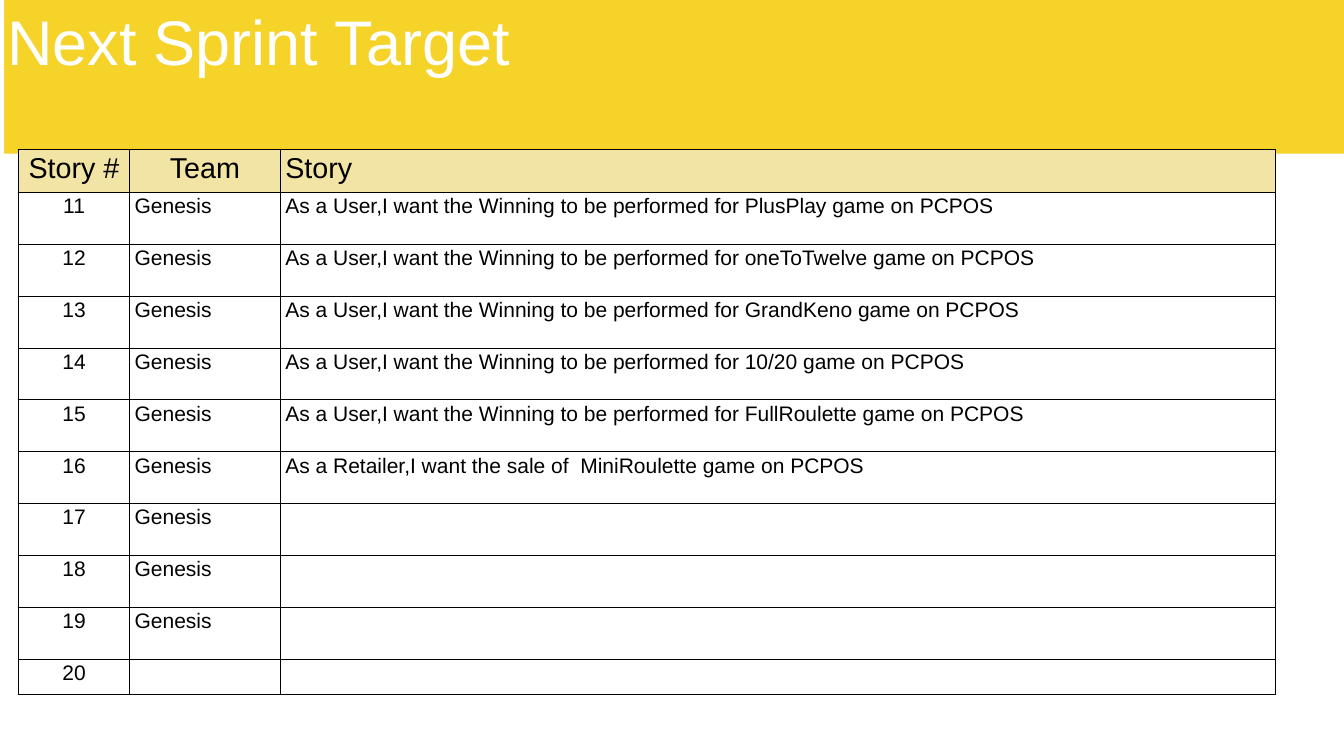
import pptx
import pptx.util
import pptx.dml.color
import pptx.enum.shapes
import pptx.enum.text
import pptx.oxml
import pptx.oxml.ns
from dataclasses import dataclass

PX = 9144  # EMU per px, at 100 px to the inch
ALIGN = pptx.enum.text.PP_ALIGN


@dataclass(frozen=True)
class Theme:
    font: str = "Arial"
    band: str = "F5D328"
    head: str = "F1E4A5"
    ink: str = "000000"
    white: str = "FFFFFF"
    title: int = 90
    label: int = 41
    body: int = 30
    rule: float = 0.75


THEME = Theme()
WIN = "As a User,I want the Winning to be performed for {} game on PCPOS"
GAMES = ["PlusPlay", "oneToTwelve", "GrandKeno", "10/20", "FullRoulette"]
STORIES = [WIN.format(game) for game in GAMES]
STORIES.append("As a Retailer,I want the sale of  MiniRoulette game on PCPOS")
FIRST, LAST = 11, 20


def rgb(code):
    return pptx.dml.color.RGBColor.from_string(code)


def write(frame, text, size, color, align=ALIGN.LEFT):
    frame.text = text
    para = frame.paragraphs[0]
    para.alignment = align
    for run in para.runs:
        run.font.name = THEME.font
        run.font.size = pptx.util.Pt(size)
        run.font.color.rgb = rgb(color)


def border(cell):
    """Draw a thin line on all four sides of a cell."""
    props = cell._tc.get_or_add_tcPr()
    width = int(pptx.util.Pt(THEME.rule))
    for spot, side in enumerate("LRTB"):
        line = pptx.oxml.parse_xml(
            f'<a:ln{side} {pptx.oxml.ns.nsdecls("a")} w="{width}">'
            f'<a:solidFill><a:srgbClr val="{THEME.ink}"/></a:solidFill>'
            f'</a:ln{side}>')
        props.insert(spot, line)


def banner(slide, left, top, width, height):
    # Coloured band
    box = [n * PX for n in (left, top, width, height)]
    band = slide.shapes.add_shape(
        pptx.enum.shapes.MSO_SHAPE.RECTANGLE, *box)
    band.shadow.inherit = False
    band.fill.solid()
    band.fill.fore_color.rgb = rgb(THEME.band)
    band.line.fill.background()

    # Title in the upper left of the band
    area = slide.shapes.add_textbox(
        left * PX, top * PX, 1234 * PX, 161 * PX)
    frame = area.text_frame
    frame.word_wrap = True
    frame.vertical_anchor = pptx.enum.text.MSO_ANCHOR.MIDDLE
    frame.margin_left = frame.margin_right = 6 * PX
    frame.margin_top = frame.margin_bottom = 6 * PX
    write(frame, "Next Sprint Target", THEME.title, THEME.white)


def backlog(slide, left, top, width, height):
    # Row contents: the last story has no team yet
    rows = [("Story #", "Team", "Story")]
    for spot, number in enumerate(range(FIRST, LAST + 1)):
        team = "Genesis" if number < LAST else ""
        story = STORIES[spot] if spot < len(STORIES) else ""
        rows.append((str(number), team, story))

    # Grid: short first and last rows, equal rows between
    cols = [220, 299]
    cols.append(width - sum(cols))
    head, foot = 84, 70
    step = (height - head - foot) // (len(rows) - 2)
    tall = [head] + [step] * (len(rows) - 2) + [foot]
    table = slide.shapes.add_table(
        len(rows), len(cols), left * PX, top * PX,
        width * PX, height * PX).table
    table.first_row = False
    table.horz_banding = False
    for col, size in zip(table.columns, cols):
        col.width = size * PX
    for row, size in zip(table.rows, tall):
        row.height = size * PX

    # Cells
    for r, texts in enumerate(rows):
        for c, text in enumerate(texts):
            cell = table.cell(r, c)
            if r == 0:
                cell.fill.solid()
                cell.fill.fore_color.rgb = rgb(THEME.head)
            else:
                cell.fill.background()
            border(cell)
            middle = c == 0 or (r == 0 and c == 1)
            write(cell.text_frame, text,
                  THEME.label if r == 0 else THEME.body, THEME.ink,
                  ALIGN.CENTER if middle else ALIGN.LEFT)


def main():
    deck = pptx.Presentation()
    deck.slide_width = 2666 * PX
    deck.slide_height = 1500 * PX
    slide = deck.slides.add_slide(deck.slide_layouts[6])
    banner(slide, 8, -1, 2667, 306)
    backlog(slide, 37, 297, 2493, 1081)
    deck.save("out.pptx")


if __name__ == "__main__":
    main()
